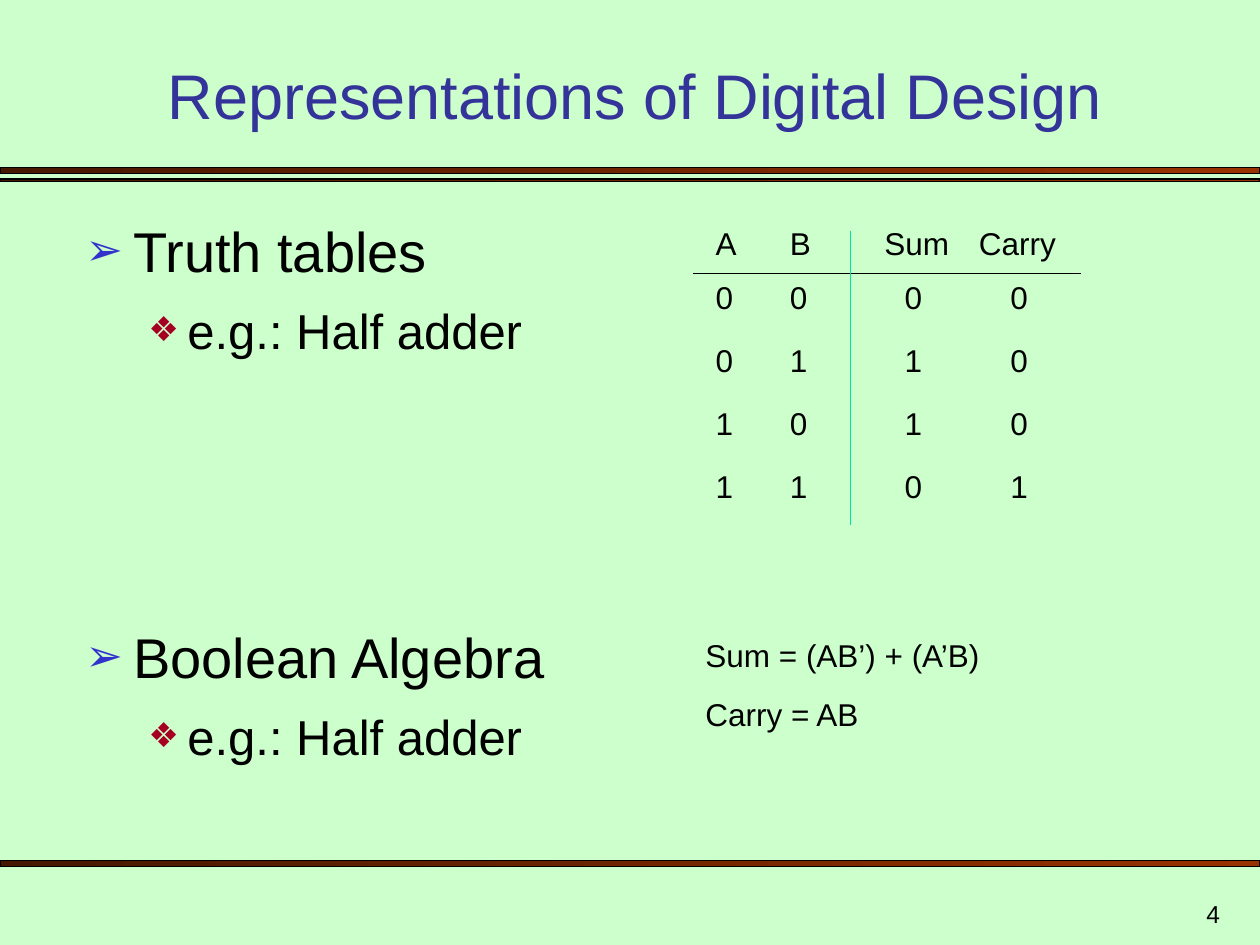
from lxml import etree
from pptx import Presentation
from pptx.dml.color import RGBColor
from pptx.enum.shapes import MSO_CONNECTOR, MSO_SHAPE
from pptx.enum.text import MSO_ANCHOR, PP_ALIGN
from pptx.oxml.ns import qn
from pptx.util import Inches, Pt

LEFT, MID, RIGHT = PP_ALIGN.LEFT, PP_ALIGN.CENTER, PP_ALIGN.RIGHT
TOP, LOW = MSO_ANCHOR.TOP, MSO_ANCHOR.BOTTOM
RECT, LINE = MSO_SHAPE.RECTANGLE, MSO_CONNECTOR.STRAIGHT
PLAIN = "{2D5ABB26-0587-4C30-8999-92F81FD0307C}"  # table style without grid
WIDE, HIGH = 10, 7.5
BLACK = "000000"

# Paragraph formats: size, colour, and for lists indent, hang and bullet
HEAD = dict(size=36, color="333399", align=MID)
TEXT = dict(size=18, gap=12)
PAGE = dict(size=14, align=RIGHT)
ITEM = dict(size=32, gap=150, left=0.38, hang=0.38,
            mark="➢", tint="3333CC", scale=80)
SUB = dict(size=28, gap=9.6, left=0.81, hang=0.31,
           mark="❖", tint="A50021", scale=70)

# Box, anchor, paragraphs
BOXES = [
    ((0.58, 0.42, 8.92, 0.68), LOW,
     [("Representations of Digital Design", HEAD)]),
    ((0.58, 1.67, 4, 4.92), TOP,
     [("Truth tables", ITEM), ("e.g.: Half adder", SUB),
      ("Boolean Algebra", ITEM), ("e.g.: Half adder", SUB)]),
    ((5.5, 5, 3.75, 0.86), TOP,
     [("Sum = (AB’) + (A’B)", TEXT), ("Carry = AB", TEXT)]),
    ((7.7, 7, 2.08, 0.42), LOW, [("4", PAGE)]),
]
BARS = [(1.33, 0.05), (1.42, 0.02), (6.83, 0.05)]  # top, height

TRUTH = [
    ("A", "B", "Sum", "Carry"),
    (0, 0, 0, 0),
    (0, 1, 1, 0),
    (1, 0, 1, 0),
    (1, 1, 0, 1),
]
EDGES = [5.5, 6.17, 6.75, 7.67, 8.58]  # column edges of the truth table
HEAD_X = [5.68, 6.27, 7.02, 7.77]      # where header text starts
BODY_X = [5.68, 6.27, 7.18, 8.02]      # where digits start
TABLE_TOP, HEAD_H, ROW_H = 1.75, 0.43, 0.5
RULES = [((EDGES[0], 2.17, EDGES[-1], 2.17), BLACK),
         ((EDGES[2], 1.83, EDGES[2], 4.17), "00E4A8")]


def rgb(code):
    return RGBColor.from_string(code)


def inches(nums):
    return [Inches(n) for n in nums]


def bullet(para, form):
    props = para._p.get_or_add_pPr()
    props.set("marL", str(Inches(form["left"])))
    props.set("indent", str(-Inches(form["hang"])))
    tint = etree.SubElement(props, qn("a:buClr"))
    etree.SubElement(tint, qn("a:srgbClr"), val=form["tint"])
    etree.SubElement(props, qn("a:buSzPct"), val=str(form["scale"] * 1000))
    etree.SubElement(props, qn("a:buFont"), typeface="Arial")
    etree.SubElement(props, qn("a:buChar"), char=form["mark"])


def write(para, text, form):
    para.alignment = form.get("align", LEFT)
    para.space_before = Pt(form.get("gap", 0))
    if "mark" in form:
        bullet(para, form)
    run = para.add_run()
    run.text = str(text)
    run.font.name = "Arial"
    run.font.size = Pt(form["size"])
    run.font.color.rgb = rgb(form.get("color", BLACK))


def add_bar(shapes, top, tall):
    bar = shapes.add_shape(RECT, *inches((0, top, WIDE, tall)))
    bar.shadow.inherit = False
    bar.fill.gradient()
    bar.fill.gradient_angle = 180
    for stop, code in zip(bar.fill.gradient_stops, ("993300", "461700")):
        stop.color.rgb = rgb(code)
    bar.line.color.rgb = rgb(BLACK)
    bar.line.width = Pt(0.75)


def add_box(shapes, place, anchor, paras):
    frame = shapes.add_textbox(*inches(place)).text_frame
    frame.word_wrap = True
    frame.vertical_anchor = anchor
    for i, (text, form) in enumerate(paras):
        para = frame.add_paragraph() if i else frame.paragraphs[0]
        write(para, text, form if i else {**form, "gap": 0})


def add_truth(shapes):
    tall = HEAD_H + ROW_H * (len(TRUTH) - 1)
    place = inches((EDGES[0], TABLE_TOP, EDGES[-1] - EDGES[0], tall))
    table = shapes.add_table(len(TRUTH), len(TRUTH[0]), *place).table
    table.first_row = table.horz_banding = False
    table._tbl.tblPr[0].text = PLAIN
    for col, start, end in zip(table.columns, EDGES, EDGES[1:]):
        col.width = Inches(end - start)
    for r, line in enumerate(TRUTH):
        table.rows[r].height = Inches(ROW_H if r else HEAD_H)
        for c, value in enumerate(line):
            cell = table.cell(r, c)
            cell.fill.background()
            start = (BODY_X if r else HEAD_X)[c]
            cell.margin_left = Inches(start - EDGES[c])
            cell.margin_right = 0
            write(cell.text_frame.paragraphs[0], value, {"size": 18})


def add_rule(shapes, ends, code):
    rule = shapes.add_connector(LINE, *inches(ends))
    rule.line.color.rgb = rgb(code)
    rule.line.width = Pt(0.75)
    etree.SubElement(rule._element.spPr, qn("a:effectLst"))


def main():
    deck = Presentation()
    deck.slide_width, deck.slide_height = inches((WIDE, HIGH))
    slide = deck.slides.add_slide(deck.slide_layouts[6])
    slide.background.fill.solid()
    slide.background.fill.fore_color.rgb = rgb("CCFFCC")
    for bar in BARS:
        add_bar(slide.shapes, *bar)
    for box in BOXES:
        add_box(slide.shapes, *box)
    add_truth(slide.shapes)
    for rule in RULES:
        add_rule(slide.shapes, *rule)
    deck.save("out.pptx")


if __name__ == "__main__":
    main()
